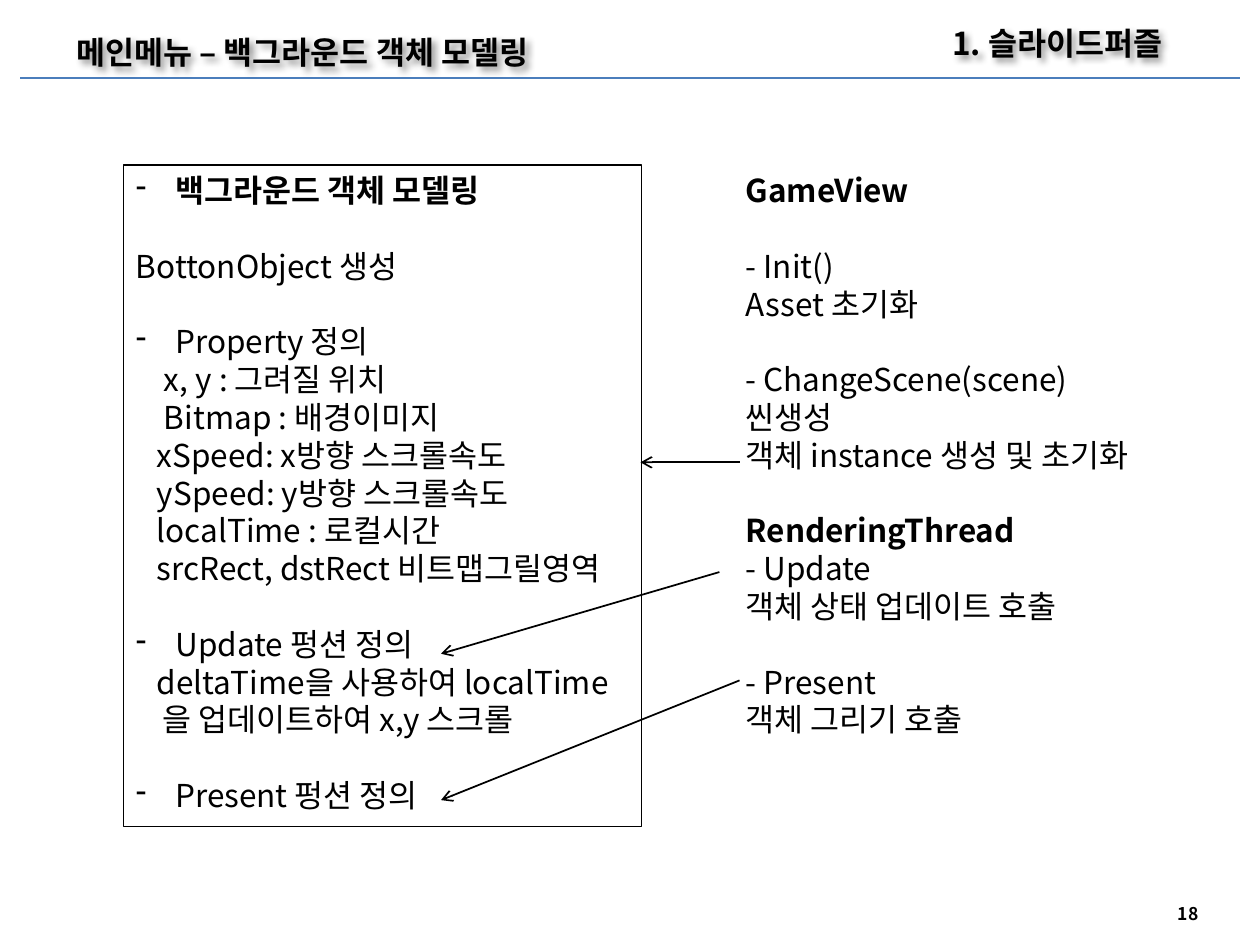
from lxml.etree import SubElement
from pptx import Presentation
from pptx.dml.color import RGBColor
from pptx.enum.shapes import MSO_CONNECTOR, MSO_SHAPE
from pptx.enum.text import MSO_ANCHOR, PP_ALIGN
from pptx.oxml.ns import qn
from pptx.util import Pt

COLORS = {"ink": "000000", "rule": "4B7EBC"}
FONT = "Noto Sans CJK KR"
BODY_SIZE = 18
PAGE_SIZE = 10
LINE_RATIO = 1.2
BULLET_INDENT = 22.5

# Paragraphs: (text, style, left indent, blank lines above)
MODEL_LINES = [
    ("백그라운드 객체 모델링", "bold bullet", BULLET_INDENT, 0),
    ("BottonObject 생성", "", 0, 1),
    ("Property 정의", "bullet", BULLET_INDENT, 1),
    ("x, y : 그려질 위치", "", 16, 0),
    ("Bitmap : 배경이미지", "", 16, 0),
    ("xSpeed: x방향 스크롤속도", "", 12, 0),
    ("ySpeed: y방향 스크롤속도", "", 12, 0),
    ("localTime : 로컬시간", "", 12, 0),
    ("srcRect, dstRect 비트맵그릴영역", "", 12, 0),
    ("Update 펑션 정의", "bullet", BULLET_INDENT, 1),
    ("deltaTime을 사용하여 localTime", "", 12, 0),
    ("을 업데이트하여 x,y 스크롤", "", 15, 0),
    ("Present 펑션 정의", "bullet", BULLET_INDENT, 1),
]
CALLER_LINES = [
    ("GameView", "bold", 0, 0),
    ("- Init()", "", 0, 1),
    ("Asset 초기화", "", 0, 0),
    ("- ChangeScene(scene)", "", 0, 1),
    ("씬생성", "", 0, 0),
    ("객체 instance 생성 및 초기화", "", 0, 0),
    ("RenderingThread", "bold", 0, 1),
    ("- Update", "", 0, 0),
    ("객체 상태 업데이트 호출", "", 0, 0),
    ("- Present", "", 0, 1),
    ("객체 그리기 호출", "", 0, 0),
]
# Boxes: (left, top, width, height), text size, paragraphs
PAGE_NUMBER = ((666, 512.6, 46.8, 19.4), PAGE_SIZE, [("18", "bold", 0, 0)])
TITLES = [
    ((537.1, 10.1, 145.4, 28.8), BODY_SIZE, [("1. 슬라이드퍼즐", "bold", 0, 0)]),
    ((36.7, 15.1, 303.8, 28.8), BODY_SIZE,
     [("메인메뉴 – 백그라운드 객체 모델링", "bold", 0, 0)]),
]
MODEL_BOX = ((70.6, 94.3, 295.9, 378), BODY_SIZE, MODEL_LINES)
CALLER_BOX = ((419, 94.3, 252.7, 334), BODY_SIZE, CALLER_LINES)
HEADER_RULE = (11.5, 44.6, 708.5, 44.6)
CALL_ARROWS = [
    (411.1, 326.9, 252, 373.6),
    (422.6, 388.8, 252, 457.2),
    (422.6, 264.2, 366, 264.2),
]


def color(name):
    return RGBColor.from_string(COLORS[name])


def add_paragraph_text(paragraph, size, text, style, indent, blanks):
    line_height = size * LINE_RATIO
    paragraph.text = text
    paragraph.alignment = PP_ALIGN.LEFT
    paragraph.line_spacing = Pt(line_height)
    paragraph.space_before = Pt(line_height * blanks)
    properties = paragraph._p.get_or_add_pPr()
    properties.set("marL", str(Pt(indent)))
    if "bullet" in style:
        properties.set("indent", str(-Pt(indent)))
        SubElement(properties, qn("a:buChar"), char="-")
    for run in paragraph.runs:
        run.font.size = Pt(size)
        run.font.bold = "bold" in style
        run.font.color.rgb = color("ink")
        run.font.name = FONT
        SubElement(run._r.get_or_add_rPr(), qn("a:ea"), typeface=FONT)


def add_text(slide, box, size, lines, outlined=False):
    lengths = [Pt(length) for length in box]
    if outlined:
        shape = slide.shapes.add_shape(MSO_SHAPE.RECTANGLE, *lengths)
        shape.shadow.inherit = False
        shape.fill.background()
        shape.line.color.rgb = color("ink")
        shape.line.width = Pt(0.75)
    else:
        shape = slide.shapes.add_textbox(*lengths)
    frame = shape.text_frame
    frame.word_wrap = True
    frame.margin_right = 0
    frame.vertical_anchor = MSO_ANCHOR.TOP
    for index, line in enumerate(lines):
        paragraph = frame.add_paragraph() if index else frame.paragraphs[0]
        add_paragraph_text(paragraph, size, *line)
    return shape


def add_soft_shadow(shape):
    effects = SubElement(shape._element.spPr, qn("a:effectLst"))
    shadow = SubElement(effects, qn("a:outerShdw"), blurRad=str(Pt(4)),
                        dist=str(Pt(3)), dir="2700000", algn="tl")
    shade = SubElement(shadow, qn("a:srgbClr"), val=COLORS["ink"])
    SubElement(shade, qn("a:alpha"), val="43000")


def add_line(slide, ends, color_name, width, arrow=False):
    connector = slide.shapes.add_connector(
        MSO_CONNECTOR.STRAIGHT, *[Pt(length) for length in ends])
    connector.line.color.rgb = color(color_name)
    connector.line.width = Pt(width)
    if arrow:
        SubElement(connector.line._get_or_add_ln(), qn("a:tailEnd"), type="arrow")
    SubElement(connector._element.spPr, qn("a:effectLst"))


def main():
    presentation = Presentation()
    presentation.slide_width, presentation.slide_height = Pt(720), Pt(540)
    slide = presentation.slides.add_slide(presentation.slide_layouts[6])
    add_text(slide, *PAGE_NUMBER)
    add_line(slide, HEADER_RULE, "rule", 0.75)
    for title in TITLES:
        add_soft_shadow(add_text(slide, *title))
    add_text(slide, *MODEL_BOX, outlined=True)
    add_text(slide, *CALLER_BOX)
    for ends in CALL_ARROWS:
        add_line(slide, ends, "ink", 1, arrow=True)
    presentation.save("out.pptx")


if __name__ == "__main__":
    main()
